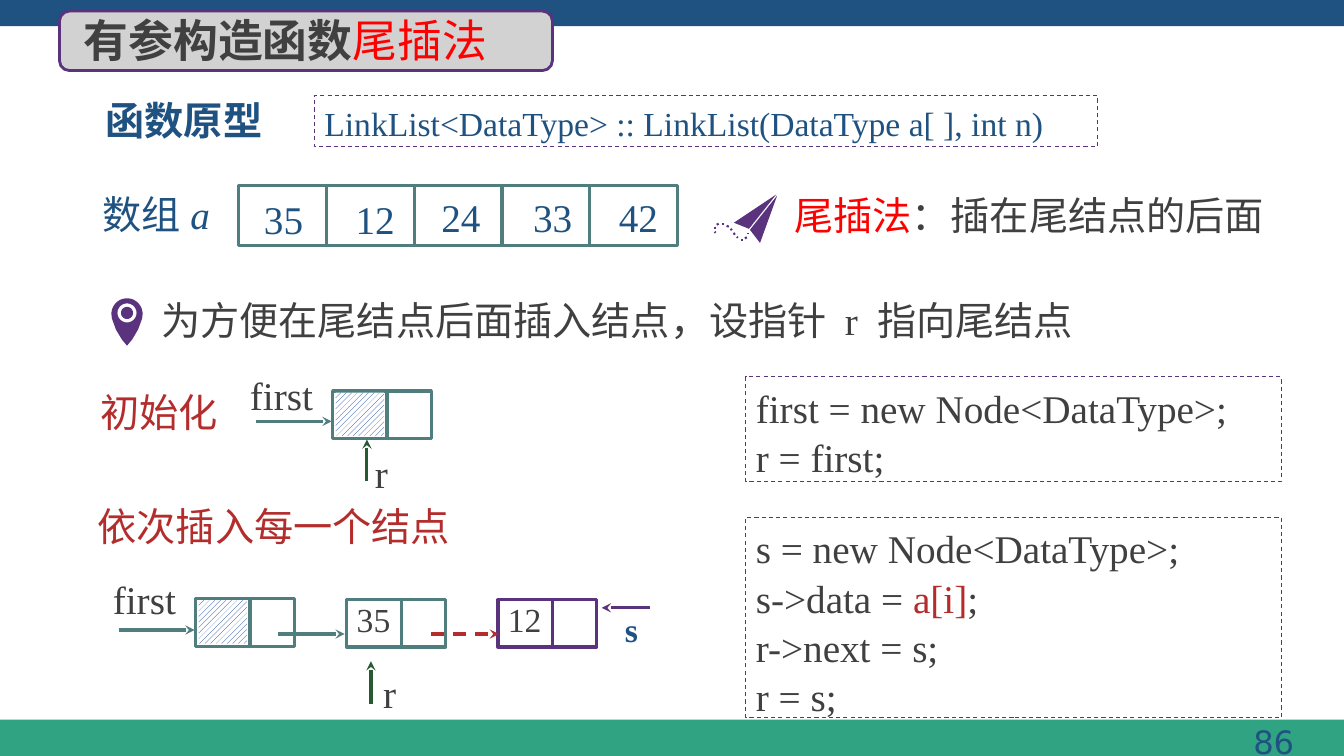
from dataclasses import dataclass
from math import cos, pi, sin

from lxml import etree
from pptx import Presentation
from pptx.dml.color import RGBColor
from pptx.enum.dml import MSO_LINE, MSO_PATTERN
from pptx.enum.shapes import MSO_CONNECTOR, MSO_SHAPE
from pptx.enum.text import MSO_ANCHOR, PP_ALIGN
from pptx.oxml.ns import qn
from pptx.util import Inches, Pt

RECT, ROUND = MSO_SHAPE.RECTANGLE, MSO_SHAPE.ROUNDED_RECTANGLE
DASH, HATCH = MSO_LINE.DASH, MSO_PATTERN.WIDE_UPWARD_DIAGONAL
LEFT, RIGHT = PP_ALIGN.LEFT, PP_ALIGN.RIGHT
TOP, MIDDLE = MSO_ANCHOR.TOP, MSO_ANCHOR.MIDDLE
STRAIGHT = MSO_CONNECTOR.STRAIGHT

NAVY, TEAL, GREEN, MINT = "1F5281", "507D7D", "285A32", "30A383"
PLUM, RED, BRICK, GRAY = "5A327D", "FF0000", "B42D2D", "404040"
TIMES, HAN, SANS = "Times New Roman", "Noto Sans CJK SC", "DejaVu Sans"
COLS, ROWS = 133.33, 75  # grid of tenth-inch cells
BARE = (0, 0, 0, 0)

Box = tuple[float, float, float, float]
Point = tuple[float, float]


@dataclass
class Label:
    box: Box
    runs: list
    color: str = GRAY
    font: str = TIMES
    size: float = 28
    bold: bool = False
    pad: Box = (1, 0.5, 1, 0.5)
    align: int = LEFT


@dataclass
class Node:
    x: float
    y: float
    color: str = TEAL
    value: str = ""


@dataclass
class Arrow:
    start: Point
    end: Point
    color: str = TEAL
    dash: bool = False


def unit(cells: float) -> int:
    return Inches(cells / 10)


def rgb(code: str) -> RGBColor:
    return RGBColor.from_string(code)


def write(frame, paras, color=GRAY, font=TIMES, size=28, bold=False,
          pad=(1, 0.5, 1, 0.5), align=LEFT, anchor=TOP, lead=None):
    """Each paragraph is a list of runs: a string, or (string, changes)."""
    frame.word_wrap, frame.vertical_anchor = True, anchor
    (frame.margin_left, frame.margin_top,
     frame.margin_right, frame.margin_bottom) = map(unit, pad)
    for i, runs in enumerate(paras):
        para = frame.add_paragraph() if i else frame.paragraphs[0]
        para.alignment, para.line_spacing = align, lead
        for item in runs:
            words, diff = (item, {}) if isinstance(item, str) else item
            run = para.add_run()
            run.text = words
            face = run.font
            face.size, face.bold = Pt(size), diff.get("bold", bold)
            face.italic = diff.get("italic")
            face.color.rgb = rgb(diff.get("color", color))
            face.name = diff.get("font", font)
            east = etree.SubElement(run.font._element, qn("a:ea"))
            east.set("typeface", HAN)


def paint(shape, fill="", line="", width=2.25, dash=False):
    shape.shadow.inherit = False
    if fill:
        shape.fill.solid()
        shape.fill.fore_color.rgb = rgb(fill)
    else:
        shape.fill.background()
    if line:
        shape.line.color.rgb, shape.line.width = rgb(line), Pt(width)
        if dash:
            shape.line.dash_style = DASH
    else:
        shape.line.fill.background()


def block(shapes, box: Box, kind=RECT, **style):
    shape = shapes.add_shape(kind, *map(unit, box))
    paint(shape, **style)
    return shape


def label(shapes, item: Label):
    box = shapes.add_textbox(*map(unit, item.box))
    write(box.text_frame, [item.runs], item.color, item.font, item.size,
          item.bold, item.pad, item.align)


def stroke(shapes, start: Point, end: Point, color: str, dash=False, head=False):
    line = shapes.add_connector(STRAIGHT, *map(unit, start + end))
    line.line.color.rgb, line.line.width = rgb(color), Pt(2.25)
    if dash:
        line.line.dash_style = DASH
    props = line.element.spPr
    if head:
        etree.SubElement(props.find(qn("a:ln")), qn("a:tailEnd"), type="stealth")
    etree.SubElement(props, qn("a:effectLst"))


def node(shapes, item: Node):
    x, y = item.x, item.y
    cell = block(shapes, (x, y, 9.8, 4.7), line=item.color)
    stroke(shapes, (x + 5.4, y), (x + 5.4, y + 4.7), item.color)
    if item.value:
        write(cell.text_frame, [[item.value]], size=24, pad=(1, 0.4, 0, 0), lead=0.9)
    else:
        data = block(shapes, (x + 0.3, y + 0.15, 4.8, 4.3))
        data.fill.patterned()
        data.fill.pattern = HATCH
        data.fill.fore_color.rgb, data.fill.back_color.rgb = rgb("003399"), rgb("FFFFFF")


def outline(shapes, paths: list[list[Point]], close=True, **style):
    spots = [[(unit(x), unit(y)) for x, y in path] for path in paths]
    pen = shapes.build_freeform(*spots[0][0])
    for i, path in enumerate(spots):
        if i:
            pen.move_to(*path[0])
        pen.add_line_segments(path[1:], close=close)
    paint(pen.convert_to_shape(), **style)


def arc(x: float, y: float, r: float, start=0.0, sweep=2 * pi) -> list[Point]:
    turns = [start + sweep * i / 24 for i in range(25)]
    return [(x + r * cos(t), y + r * sin(t)) for t in turns]


CODES = [
    ((31.2, 9.5, 77.7, 5), NAVY, 24, [["LinkList<DataType> :: LinkList(DataType a[ ], int n)"]]),
    ((74, 37.4, 53.1, 10.4), GRAY, 28, [["first = new Node<DataType>;"], ["r = first;"]]),
    ((74, 51.3, 53.1, 19.9), GRAY, 28,
     [["s = new Node<DataType>;"], ["s->data = ", ("a[i]", {"color": BRICK}), ";"],
      ["r->next = s;"], ["r = s;"]]),
]
TIGHT = (0, 0, 0, 0.4)
FLAT = (0, 0.5, 0, 0.5)
LABELS = [
    Label((100.3, 71.1, 29.4, 5.2), ["86"], NAVY, SANS, 23, pad=(1.3, 0.6, 1.3, 0.6), align=RIGHT),
    Label((9.5, 9.1, 26.7, 5.7), ["函数原型"], NAVY, bold=True),
    Label((9.2, 18.4, 15.8, 5.7), ["数组", ("a", {"font": TIMES, "italic": True})], NAVY, SANS),
    Label((78.8, 18.5, 49.4, 5.7), [("尾插法", {"color": RED}), "：插在尾结点的后面"], font=HAN, pad=FLAT),
    Label((16, 28.9, 105, 5.7),
          ["为方便在尾结点后面插入结点，设指针 ", ("r ", {"font": TIMES}), "指向尾结点"], font=HAN, pad=FLAT),
    Label((9, 38, 26.7, 5.7), ["初始化"], BRICK, HAN),
    Label((8.7, 49.3, 37.8, 5.7), ["依次插入每一个结点"], BRICK, HAN),
    Label((24.8, 36.8, 8.3, 5.1), ["first"], pad=TIGHT),
    Label((11.2, 57.1, 8.3, 5.1), ["first"], pad=TIGHT),
    Label((37.2, 44.6, 3.7, 5.1), ["r"], pad=TIGHT),
    Label((38, 66.4, 6.2, 5.1), ["r"], pad=TIGHT),
    Label((62, 60.4, 2.7, 4), ["s"], NAVY, size=24, bold=True, pad=BARE),
]
ARRAY = [("35", 25.2, 19.4), ("12", 34.3, 19.4), ("24", 42.8, 19.2),
         ("33", 51.9, 19.2), ("42", 60.4, 19.2)]
NODES = [Node(33, 38.8), Node(19.4, 59.4), Node(34.4, 59.5, value="35"),
         Node(49.4, 59.5, PLUM, "12")]
ARROWS = [
    Arrow((25.4, 41.8), (32.9, 41.8)), Arrow((11.8, 62.5), (19.3, 62.5)),
    Arrow((27.6, 62.9), (34.2, 62.9)), Arrow((42.8, 62.9), (49.5, 62.9), BRICK, True),
    Arrow((64.5, 60.3), (59.7, 60.3), PLUM),
    Arrow((36.4, 47.7), (36.4, 43.6), GREEN), Arrow((36.8, 69.8), (36.8, 65.6), GREEN),
]
WINGS = [[(77.1, 19.4), (75.4, 24.1), (74.4, 22.8)], [(77, 19.3), (74.3, 22.7), (72.8, 22.1)]]
TRAIL = [
    [(74.2, 23.1), (74.2, 23.2)], [(74.1, 23.55), (73.9, 23.65)], [(73.7, 23.8), (73.5, 23.8)],
    [(73.2, 23.6), (73.1, 23.5)], [(72.9, 23.3), (72.8, 23.1)], [(72.6, 22.85), (72.5, 22.7)],
    [(72.3, 22.5), (72.1, 22.4)], [(71.8, 22.2), (71.65, 22.2)], [(71.3, 22.2), (71.1, 22.3)],
    [(70.9, 22.5), (70.9, 22.7)], [(70.9, 23), (71, 23.1)],
]
TIP = [(14.1, 31.6), (13.7, 32.7), (13.1, 33.7), (12.6, 34.3), (12.1, 33.7), (11.5, 32.7), (11.1, 31.6)]


def main():
    deck = Presentation()
    deck.slide_width, deck.slide_height = unit(COLS), unit(ROWS)
    slide = deck.slides.add_slide(deck.slide_layouts[5])
    shapes = slide.shapes

    # Bands and title
    block(shapes, (0, 71.4, COLS, 3.6), fill=MINT)
    block(shapes, (0, 0, COLS, 2.6), fill=NAVY)
    block(shapes, (5.9, 1.1, 48.9, 5.9), ROUND, fill="D2D2D2", line=PLUM, width=2)
    title = shapes.title
    title.left, title.top, title.width, title.height = map(unit, (7.3, 0.7, 46.6, 6.4))
    write(title.text_frame, [["有参构造函数", ("尾插法", {"color": RED, "bold": False})]],
          font=HAN, size=32, bold=True, anchor=MIDDLE)
    title.element.getparent().append(title.element)

    # Array
    for i, (value, x, y) in enumerate(ARRAY):
        block(shapes, (23.7 + 8.7 * i, 18.4, 8.7, 6), line=TEAL)
        label(shapes, Label((x, y, 5.2, 4.7), [value], NAVY, pad=(1, 0, 0, 0)))

    # Paper plane and map pin
    for wing in WINGS:
        outline(shapes, [wing], fill=PLUM)
    outline(shapes, TRAIL, close=False, line=PLUM, width=1.5)
    pin = arc(12.6, 31.15, 1.55, pi, pi) + TIP
    outline(shapes, [pin, arc(12.6, 31.05, 0.95), arc(12.6, 31.05, 0.6)], fill=PLUM)

    # Code boxes
    for box, color, size, lines in CODES:
        frame = block(shapes, box, line=PLUM, width=0.75, dash=True).text_frame
        write(frame, lines, color, size=size, lead=1.05)

    # Linked lists and labels
    for item in NODES:
        node(shapes, item)
    for arrow in ARROWS:
        stroke(shapes, arrow.start, arrow.end, arrow.color, arrow.dash, head=True)
    for item in LABELS:
        label(shapes, item)
    deck.save("out.pptx")


if __name__ == "__main__":
    main()
